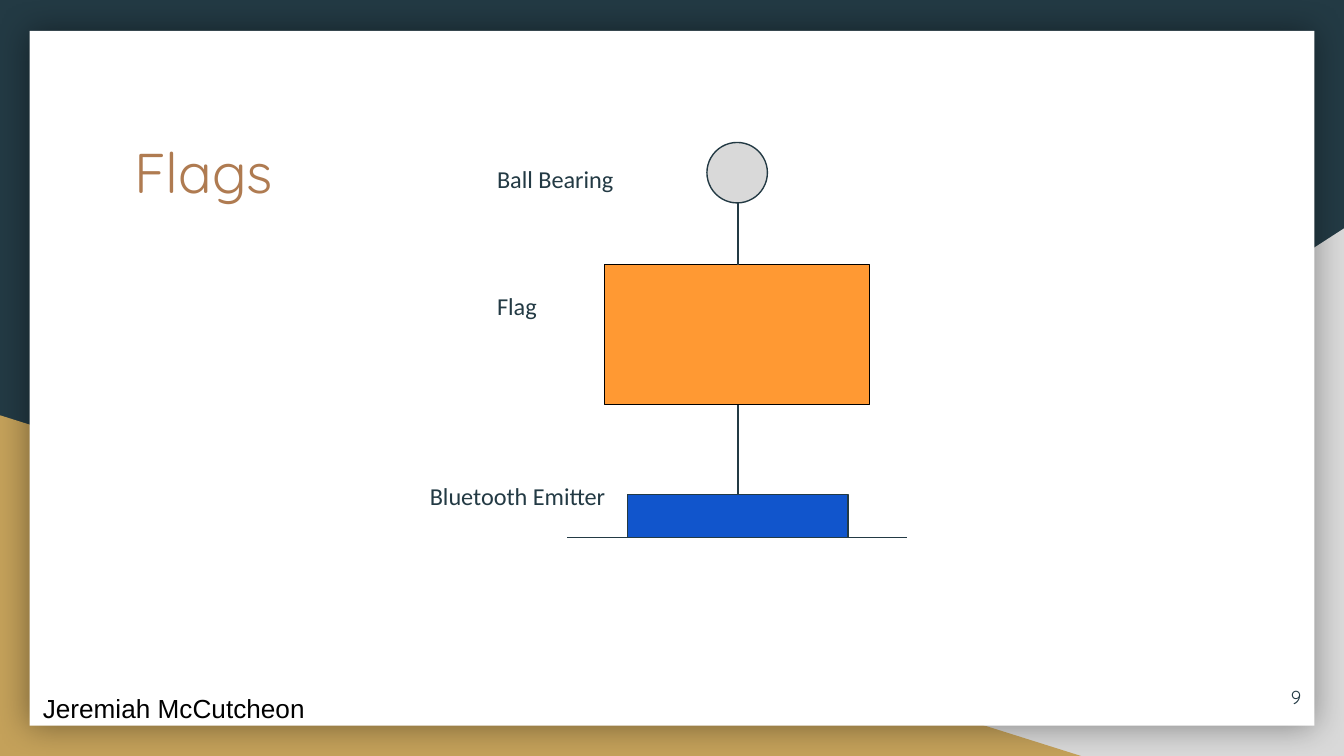
import pptx
import pptx.dml.color
import pptx.enum.shapes
import pptx.enum.text
import pptx.oxml.ns
import pptx.util
from lxml import etree

Inches = pptx.util.Inches
Pt = pptx.util.Pt
qn = pptx.oxml.ns.qn
SHAPE = pptx.enum.shapes.MSO_SHAPE
ALIGN = pptx.enum.text.PP_ALIGN
ANCHOR = pptx.enum.text.MSO_ANCHOR

COLORS = {
    "navy": "233A44",
    "grey": "D9D9D9",
    "gold": "C4A15A",
    "white": "FFFFFF",
    "copper": "AF7B51",
    "black": "000000",
    "orange": "FF9933",
    "blue": "1155CC",
}
LINE_WIDTH = Pt(0.75)
POLE_X = 5.49
GROUND_Y = 4


def rgb(name):
    return pptx.dml.color.RGBColor.from_string(COLORS[name])


def add_shape(slide, kind, box, fill, line=None):
    shape = slide.shapes.add_shape(kind, *map(Inches, box))
    shape.shadow.inherit = False
    shape.fill.solid()
    shape.fill.fore_color.rgb = rgb(fill)
    if line:
        shape.line.color.rgb = rgb(line)
        shape.line.width = LINE_WIDTH
    else:
        shape.line.fill.background()
    return shape


def add_soft_shadow(shape):
    effects = shape._element.spPr.find(qn("a:effectLst"))
    shadow = etree.SubElement(effects, qn("a:outerShdw"),
                              blurRad=str(Pt(18)), dist="0", dir="0",
                              algn="ctr", rotWithShape="0")
    color = etree.SubElement(shadow, qn("a:srgbClr"), val=COLORS["black"])
    etree.SubElement(color, qn("a:alpha"), val="40000")


def add_line(slide, start, end):
    connector = slide.shapes.add_connector(
        pptx.enum.shapes.MSO_CONNECTOR.STRAIGHT, *map(Inches, start + end))
    connector.line.color.rgb = rgb("navy")
    connector.line.width = LINE_WIDTH
    etree.SubElement(connector._element.spPr, qn("a:effectLst"))


def add_text_frame(slide, box, anchor=ANCHOR.TOP):
    frame = slide.shapes.add_textbox(*map(Inches, box)).text_frame
    frame.word_wrap = True
    frame.vertical_anchor = anchor
    frame.margin_left = frame.margin_right = Inches(0.1)
    frame.margin_top = frame.margin_bottom = Inches(0.1)
    return frame


def add_run(paragraph, text, font, size, color):
    run = paragraph.add_run()
    run.text = text
    run.font.name = font
    run.font.size = Pt(size)
    run.font.color.rgb = rgb(color)


def add_text(slide, box, text, font, size, color,
             align=ALIGN.LEFT, anchor=ANCHOR.TOP):
    paragraph = add_text_frame(slide, box, anchor).paragraphs[0]
    paragraph.alignment = align
    add_run(paragraph, text, font, size, color)


def add_labels(slide, box, labels):
    frame = add_text_frame(slide, box)
    for index, (text, indent, space_before) in enumerate(labels):
        paragraph = frame.add_paragraph() if index else frame.paragraphs[0]
        paragraph.line_spacing = 1.15
        paragraph.space_before = Pt(space_before)
        paragraph._p.get_or_add_pPr().set("marL", str(Inches(indent)))
        add_run(paragraph, text, "Calibri", 13, "navy")


def add_backdrop(slide):
    slide.background.fill.solid()
    slide.background.fill.fore_color.rgb = rgb("navy")
    corner = add_shape(slide, SHAPE.RIGHT_TRIANGLE, (3.92, 1.7, 6.08, 3.93), "grey")
    corner._element.spPr.xfrm.set("flipH", "1")
    add_shape(slide, SHAPE.RIGHT_TRIANGLE, (0, 3.09, 8.06, 2.54), "gold")
    card = add_shape(slide, SHAPE.RECTANGLE, (0.22, 0.23, 9.56, 5.17), "white")
    add_soft_shadow(card)


def add_flag_diagram(slide):
    add_shape(slide, SHAPE.RECTANGLE, (4.5, 1.97, 1.97, 1.04), "orange", "black")
    # Pole above and below the flag, then the ground
    add_line(slide, (POLE_X, 1.97), (POLE_X, 1.51))
    add_line(slide, (POLE_X, 3.01), (POLE_X, GROUND_Y))
    add_line(slide, (4.22, GROUND_Y), (6.75, GROUND_Y))
    # Ball bearing and emitter
    add_shape(slide, SHAPE.OVAL, (5.26, 1.06, 0.45, 0.45), "grey", "navy")
    add_shape(slide, SHAPE.RECTANGLE, (4.67, 3.68, 1.64, 0.32), "blue", "navy")
    add_labels(slide, (3.1, 1.09, 1.57, 3.45), [
        ("Ball Bearing", 0.5, 0),
        ("Flag", 0.5, 50),
        ("Bluetooth Emitter", 0, 84),
    ])


def main():
    presentation = pptx.Presentation()
    # Widescreen, 16 to 9
    presentation.slide_width = Inches(10)
    presentation.slide_height = Inches(10 * 9 / 16)
    slide = presentation.slides.add_slide(presentation.slide_layouts[6])

    add_backdrop(slide)
    # Title, page number and author
    add_text(slide, (0.9, 0.92, 8.21, 1.04), "Flags", "Quicksand", 30, "copper")
    add_text(slide, (9.18, 4.97, 0.6, 0.43), "9", "Quicksand", 10, "navy",
             ALIGN.RIGHT, ANCHOR.MIDDLE)
    add_text(slide, (0.22, 5.05, 3.06, 0.37), "Jeremiah McCutcheon",
             "Arial", 14, "black")
    add_flag_diagram(slide)

    presentation.save("out.pptx")


if __name__ == "__main__":
    main()
